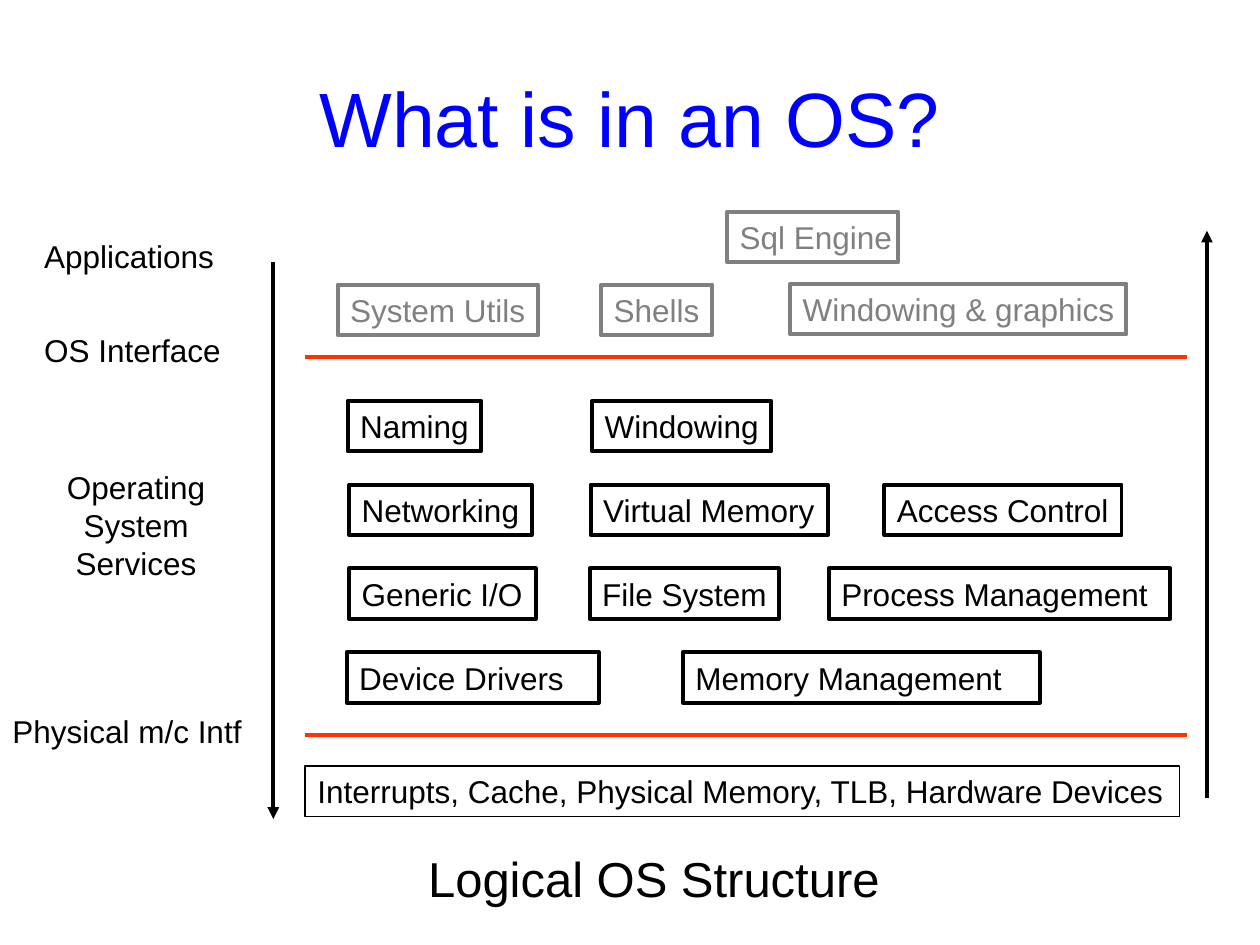
from lxml import etree
from pptx import Presentation
from pptx.dml.color import RGBColor
from pptx.enum.shapes import MSO_CONNECTOR, MSO_SHAPE
from pptx.enum.text import MSO_ANCHOR, PP_ALIGN
from pptx.oxml.ns import qn
from pptx.util import Cm, Pt

RECT = MSO_SHAPE.RECTANGLE
STRAIGHT = MSO_CONNECTOR.STRAIGHT
TOP, MIDDLE = MSO_ANCHOR.TOP, MSO_ANCHOR.MIDDLE
LEFT, CENTER = PP_ALIGN.LEFT, PP_ALIGN.CENTER

COLORS = {"title": "0000FF", "text": "000000", "app": "808080", "interface": "FF3300"}
BOX_H = 1.02

prs = Presentation()
prs.slide_width, prs.slide_height = Cm(25.4), Cm(19.05)
s = prs.slides.add_slide(prs.slide_layouts[6])


def add_label(text, x, y, w, h=BOX_H, size=18, color="text", align=LEFT,
              anchor=MIDDLE, wrap=True, border=0):
    """Add a text box, or an outlined rectangle when border (in points) is given."""
    if border:
        sp = s.shapes.add_shape(RECT, Cm(x), Cm(y), Cm(w), Cm(h))
        sp.shadow.inherit = False
        sp.fill.background()
        sp.line.color.rgb = RGBColor.from_string(COLORS[color])
        sp.line.width = Pt(border)
    else:
        sp = s.shapes.add_textbox(Cm(x), Cm(y), Cm(w), Cm(h))
    tf = sp.text_frame
    tf.word_wrap = wrap
    tf.vertical_anchor = anchor
    p = tf.paragraphs[0]
    p.alignment = align
    r = p.add_run()
    r.text = text
    r.font.name = "Arial"
    r.font.size = Pt(size)
    r.font.color.rgb = RGBColor.from_string(COLORS[color])


def add_line(x1, y1, x2, y2, color="text", arrow=False):
    line = s.shapes.add_connector(STRAIGHT, Cm(x1), Cm(y1), Cm(x2), Cm(y2))
    line.line.color.rgb = RGBColor.from_string(COLORS[color])
    line.line.width = Pt(2.25)
    if arrow:
        etree.SubElement(line.line._get_or_add_ln(), qn("a:tailEnd"), type="triangle")
    etree.SubElement(line._element.spPr, qn("a:effectLst"))


add_label("What is in an OS?", 1.27, 0.76, 22.86, 3.18, size=44,
          color="title", align=CENTER)

# Layer names on the left
for text, x, y, w in [("Applications", 0.64, 4.65, 5.72),
                      ("OS Interface", 0.64, 6.55, 5),
                      ("Physical m/c Intf", 0, 14.22, 6.12)]:
    add_label(text, x, y, w, anchor=TOP)
add_label("Operating System Services", 0.84, 9.32, 3.81, 2.54, align=CENTER, anchor=TOP)

# Applications above the OS interface
for text, x, y, w in [("Sql Engine", 14.66, 4.27, 3.45),
                      ("System Utils", 6.81, 5.74, 4.04),
                      ("Shells", 12.12, 5.74, 2.24),
                      ("Windowing & graphics", 15.93, 5.72, 6.78)]:
    add_label(text, x, y, w, color="app", wrap=False, border=2.25)

# Services, row by row: text, left, width, wrap
service_rows = [
    [("Naming", 7.01, 2.69, False), ("Windowing", 11.94, 3.61, False)],
    [("Networking", 7.04, 3.68, False), ("Virtual Memory", 11.91, 4.78, False),
     ("Access Control", 17.83, 4.78, False)],
    [("Generic I/O", 7.04, 3.76, False), ("File System", 11.89, 3.81, False),
     ("Process Management", 16.71, 6.88, True)],
    [("Device Drivers", 6.99, 5.08, True), ("Memory Management", 13.77, 7.19, True)],
]
for i, row in enumerate(service_rows):
    for text, x, w, wrap in row:
        add_label(text, x, 8.08 + 1.69 * i, w, wrap=wrap, border=2.25)

# Hardware below the physical interface
add_label("Interrupts, Cache, Physical Memory, TLB, Hardware Devices",
          6.15, 15.44, 17.63, anchor=TOP, wrap=False, border=0.75)

for y in (7.19, 14.81):
    add_line(6.15, y, 23.93, y, color="interface")
add_line(5.51, 5.28, 5.51, 16.51, arrow=True)
add_line(24.33, 16.08, 24.33, 4.65, arrow=True)

add_label("Logical OS Structure", 8.38, 16.97, 9.6, 1.45, size=28,
          align=CENTER, wrap=False)

prs.save("out.pptx")
